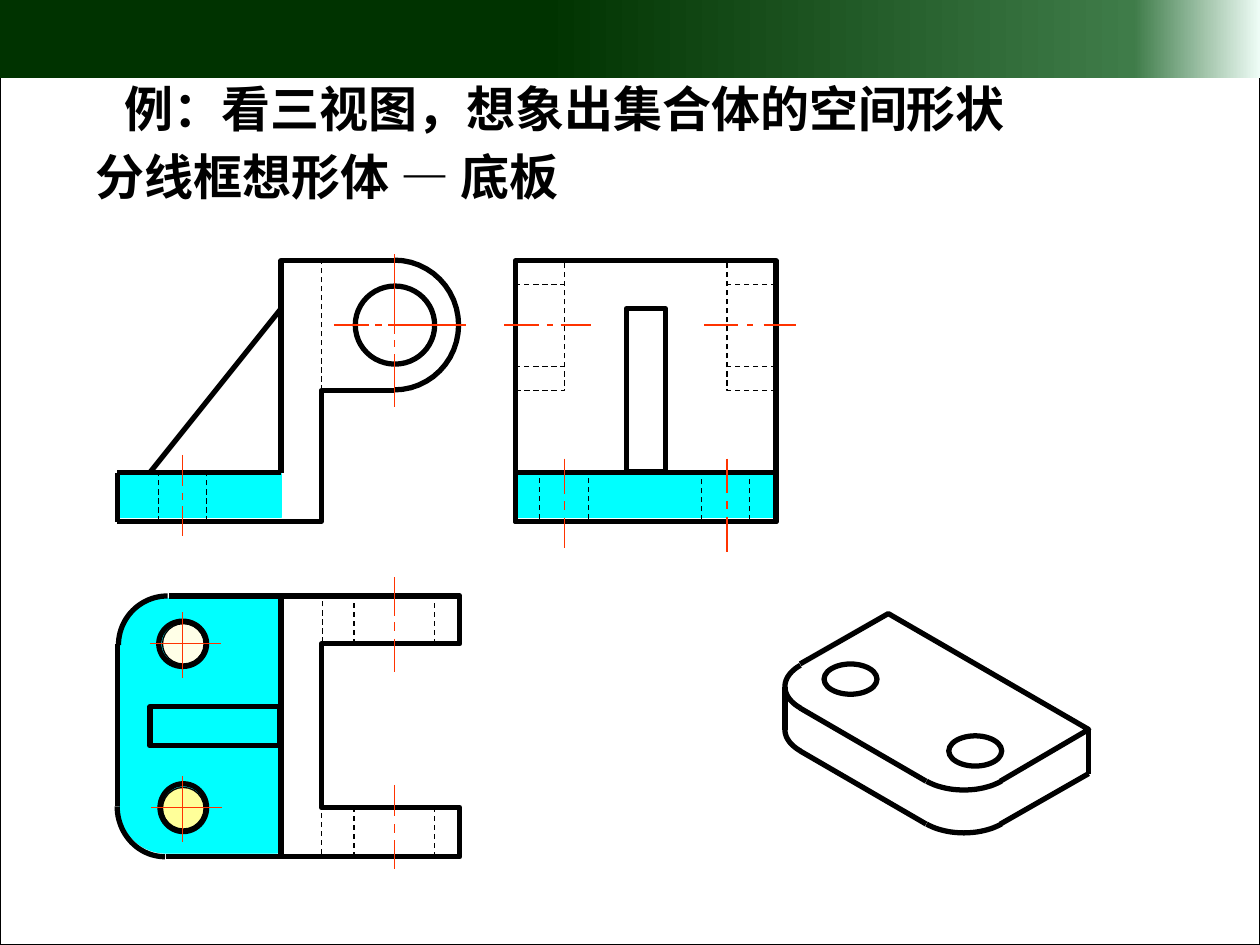
from copy import deepcopy
from math import cos, radians, sin
from typing import NamedTuple

from pptx import Presentation
from pptx.dml.color import RGBColor
from pptx.enum.dml import MSO_LINE
from pptx.enum.shapes import MSO_CONNECTOR, MSO_SHAPE
from pptx.enum.text import MSO_ANCHOR, PP_ALIGN
from pptx.oxml.ns import qn
from pptx.util import Inches, Pt
from lxml import etree

DASH = MSO_LINE.DASH
STRAIGHT = MSO_CONNECTOR.STRAIGHT
RECTANGLE = MSO_SHAPE.RECTANGLE
OVAL = MSO_SHAPE.OVAL
MIDDLE = MSO_ANCHOR.MIDDLE
CENTER = PP_ALIGN.CENTER
BLACK, CYAN, RED = "000000", "00FFFF", "FF3300"

Point = tuple[float, float]


class Pen(NamedTuple):
    color: str
    width: float
    dashed: bool = False


class Figure(NamedTuple):
    kind: MSO_SHAPE
    left: float
    top: float
    width: float
    height: float
    fill: str | None = None


class CenterLine(NamedTuple):
    vertical: bool
    position: float
    spans: list[Point]


THICK = Pen(BLACK, 3)
THIN = Pen(BLACK, 0.75)
HIDDEN = Pen(BLACK, 0.75, True)
AXIS = Pen(RED, 0.75)
CYAN_EDGE = Pen(CYAN, 0.75)

deck = Presentation()
deck.slide_width, deck.slide_height = Inches(10), Inches(7.5)
page = deck.slides.add_slide(deck.slide_layouts[5])


def rgb(color: str) -> RGBColor:
    return RGBColor.from_string(color)


def style_line(item, pen: Pen) -> None:
    item.line.color.rgb = rgb(pen.color)
    item.line.width = Pt(pen.width)
    if pen.dashed:
        item.line.dash_style = DASH


def style_shape(shape, pen: Pen, fill: str | None) -> None:
    shape.shadow.inherit = False
    style_line(shape, pen)
    if fill:
        shape.fill.solid()
        shape.fill.fore_color.rgb = rgb(fill)
    else:
        shape.fill.background()


def draw_figure(figure: Figure, pen: Pen) -> None:
    bounds = [Inches(value) for value in figure[1:5]]
    style_shape(page.shapes.add_shape(figure.kind, *bounds), pen, figure.fill)


def draw_line(start: Point, end: Point, pen: Pen) -> None:
    line = page.shapes.add_connector(STRAIGHT, *[Inches(value) for value in start + end])
    style_line(line, pen)
    etree.SubElement(line._element.spPr, qn("a:effectLst"))


def draw_path(points: list[Point], pen: Pen, fill: str | None = None, closed: bool = False) -> None:
    corners = [(Inches(x), Inches(y)) for x, y in points]
    builder = page.shapes.build_freeform(*corners[0])
    builder.add_line_segments(corners[1:], close=closed)
    style_shape(builder.convert_to_shape(), pen, fill)


def arc(center: Point, radii: Point, first: int, last: int, steps: int = 24) -> list[Point]:
    angles = [radians(first + (last - first) * step / steps) for step in range(steps + 1)]
    return [(center[0] + radii[0] * cos(angle), center[1] + radii[1] * sin(angle)) for angle in angles]


def draw_center_line(axis: CenterLine) -> None:
    for first, last in axis.spans:
        if axis.vertical:
            draw_line((axis.position, first), (axis.position, last), AXIS)
        else:
            draw_line((first, axis.position), (last, axis.position), AXIS)


def draw_header() -> None:
    draw_figure(Figure(RECTANGLE, 0, 0, 10, 7.5), THIN)
    header = page.shapes.add_shape(RECTANGLE, 0, Inches(-0.02), Inches(10), Inches(0.64))
    header.shadow.inherit = False
    header.line.fill.background()
    header.fill.gradient()
    header.fill.gradient_angle = 0
    stop_list = header._element.spPr.find(qn("a:gradFill")).find(qn("a:gsLst"))
    stop_list.append(deepcopy(stop_list[-1]))
    stops = [(0.43, "003300"), (0.9, "3F7C49"), (1, "EEFCF6")]
    for stop, (position, color) in zip(header.fill.gradient_stops, stops):
        stop.position = position
        stop.color.rgb = rgb(color)


def write_heading(box, bounds: tuple[float, ...], spans: list[tuple[str, str]]) -> None:
    box.left, box.top, box.width, box.height = [Inches(value) for value in bounds]
    box.text_frame.word_wrap = True
    box.text_frame.vertical_anchor = MIDDLE
    para = box.text_frame.paragraphs[0]
    para.alignment = CENTER
    for text, font_name in spans:
        span = para.add_run()
        span.text = text
        span.font.name, span.font.size, span.font.bold = font_name, Pt(28), True
        span.font.color.rgb = rgb(BLACK)


def draw_fills() -> None:
    draw_figure(Figure(RECTANGLE, 0.95, 3.76, 1.28, 0.35, CYAN), CYAN_EDGE)
    draw_figure(Figure(RECTANGLE, 4.11, 3.77, 2.03, 0.34, CYAN), CYAN_EDGE)
    corners = arc((1.32, 5.12), (0.37, 0.37), 270, 180) + arc((1.32, 6.4), (0.37, 0.37), 180, 90)
    draw_path([(2.2, 4.75), *corners, (2.2, 6.77)], CYAN_EDGE, CYAN, True)
    draw_figure(Figure(OVAL, 1.29, 6.25, 0.33, 0.33, "FFFF99"), THIN)
    draw_figure(Figure(OVAL, 1.29, 4.95, 0.33, 0.32, "FFFFE7"), THIN)


def draw_views() -> None:
    for figure in [
        Figure(OVAL, 2.82, 2.27, 0.63, 0.62),
        Figure(RECTANGLE, 4.09, 2.07, 2.07, 2.07),
        Figure(RECTANGLE, 4.97, 2.45, 0.31, 1.29),
        Figure(RECTANGLE, 4.09, 3.75, 2.07, 0.39),
        Figure(RECTANGLE, 1.19, 5.61, 1.03, 0.31),
        Figure(OVAL, 1.27, 6.22, 0.37, 0.38),
        Figure(OVAL, 1.26, 4.93, 0.38, 0.36),
    ]:
        draw_figure(figure, THICK)
    for points in [
        [(2.23, 3.75), (2.23, 2.07), (3.13, 2.07)],
        [(0.93, 4.14), (2.55, 4.14), (2.55, 3.1), (3.13, 3.1)],
        arc((3.13, 2.58), (0.51, 0.515), -90, 90),
        [(1.32, 6.8), (2.23, 6.8), (2.23, 4.73), (1.34, 4.73)],
        arc((1.33, 5.12), (0.39, 0.39), 180, 270),
        arc((1.31, 6.4), (0.38, 0.4), 90, 180),
        [(2.55, 6.8), (3.65, 6.8), (3.65, 6.41), (2.55, 6.41),
         (2.55, 5.11), (3.65, 5.11), (3.65, 4.73), (2.55, 4.73)],
    ]:
        draw_path(points, THICK)
    for start, end in [
        ((0.93, 4.14), (0.93, 3.75)), ((0.93, 3.75), (2.23, 3.75)), ((1.19, 3.75), (2.23, 2.45)),
        ((0.93, 6.4), (0.93, 5.11)), ((2.19, 4.73), (2.55, 4.73)), ((2.22, 6.8), (2.58, 6.8)),
    ]:
        draw_line(start, end, THICK)


def draw_hidden_edges() -> None:
    for x, top, bottom in [
        (1.26, 3.75, 4.14), (1.64, 3.75, 4.14), (2.55, 2.07, 3.1),
        (4.28, 3.73, 4.12), (4.67, 3.73, 4.12), (5.57, 3.74, 4.13), (5.95, 3.74, 4.13),
        (2.81, 4.73, 5.11), (3.45, 4.73, 5.11), (2.81, 6.41, 6.8), (3.45, 6.41, 6.8),
        (2.55, 6.42, 6.78), (2.56, 4.74, 5.1),
    ]:
        draw_line((x, bottom), (x, top), HIDDEN)
    for outer, inner in [(4.09, 4.48), (6.16, 5.77)]:
        draw_path([(outer, 3.1), (inner, 3.1), (inner, 2.07)], HIDDEN)
        for y in (2.26, 2.91):
            draw_line((outer, y), (inner, y), HIDDEN)


def draw_center_lines() -> None:
    for axis in [
        CenterLine(True, 4.48, [(3.64, 3.92), (3.98, 4.05), (4.11, 4.35)]),
        CenterLine(True, 5.77, [(3.64, 3.91), (3.98, 4.04), (4.1, 4.38)]),
        CenterLine(False, 2.58, [(2.65, 2.93), (2.98, 3.03), (3.08, 3.7), (4, 4.28), (4.34, 4.39),
                                 (4.45, 4.69), (5.59, 5.86), (5.93, 5.98), (6.06, 6.32)]),
        CenterLine(True, 3.13, [(2.02, 2.65), (2.7, 2.75), (2.81, 3.23), (4.58, 4.89), (4.94, 5.01),
                                (5.07, 5.33), (6.23, 6.48), (6.54, 6.61), (6.67, 6.9)]),
        CenterLine(True, 1.45, [(3.61, 3.86), (3.91, 3.97), (4.02, 4.25), (4.86, 5.38), (6.16, 6.68)]),
        CenterLine(False, 5.11, [(1.19, 1.75)]),
        CenterLine(False, 6.41, [(1.2, 1.76)]),
    ]:
        draw_center_line(axis)


def draw_base_plate() -> None:
    radii, depth = (0.42, 0.24), 0.34
    draw_path([(6.35, 5.27), (7.05, 4.87), (8.64, 5.79), (7.94, 6.2)], THICK)
    draw_path(arc((6.65, 5.45), radii, 225, 135), THICK)
    draw_path(arc((6.65, 5.45 + depth), radii, 180, 135), THICK)
    for drop in (0, depth):
        draw_path(arc((7.65, 6.03 + drop), radii, 135, 45), THICK)
        draw_line((6.35, 5.62 + drop), (7.35, 6.2 + drop), THICK)
    for start, end in [((8.64, 5.79), (8.64, 6.14)), ((8.64, 6.14), (7.94, 6.54)), ((6.23, 5.45), (6.23, 5.79))]:
        draw_line(start, end, THICK)
    for left, top in [(6.54, 5.27), (7.53, 5.84)]:
        draw_figure(Figure(OVAL, left, top, 0.42, 0.24), THICK)


draw_header()
draw_fills()
draw_views()
draw_hidden_edges()
draw_center_lines()
draw_base_plate()
write_heading(page.shapes.title, (0.54, 0.57, 7.88, 0.57),
              [("例：看三视图，想象出集合体的空间形状", "Times New Roman")])
write_heading(page.shapes.add_textbox(0, 0, 0, 0), (0.31, 1.11, 4.57, 0.57),
              [("分线框想形体 ", "Times New Roman"), ("— ", "Arial"), ("底板", "Times New Roman")])
deck.save("out.pptx")
